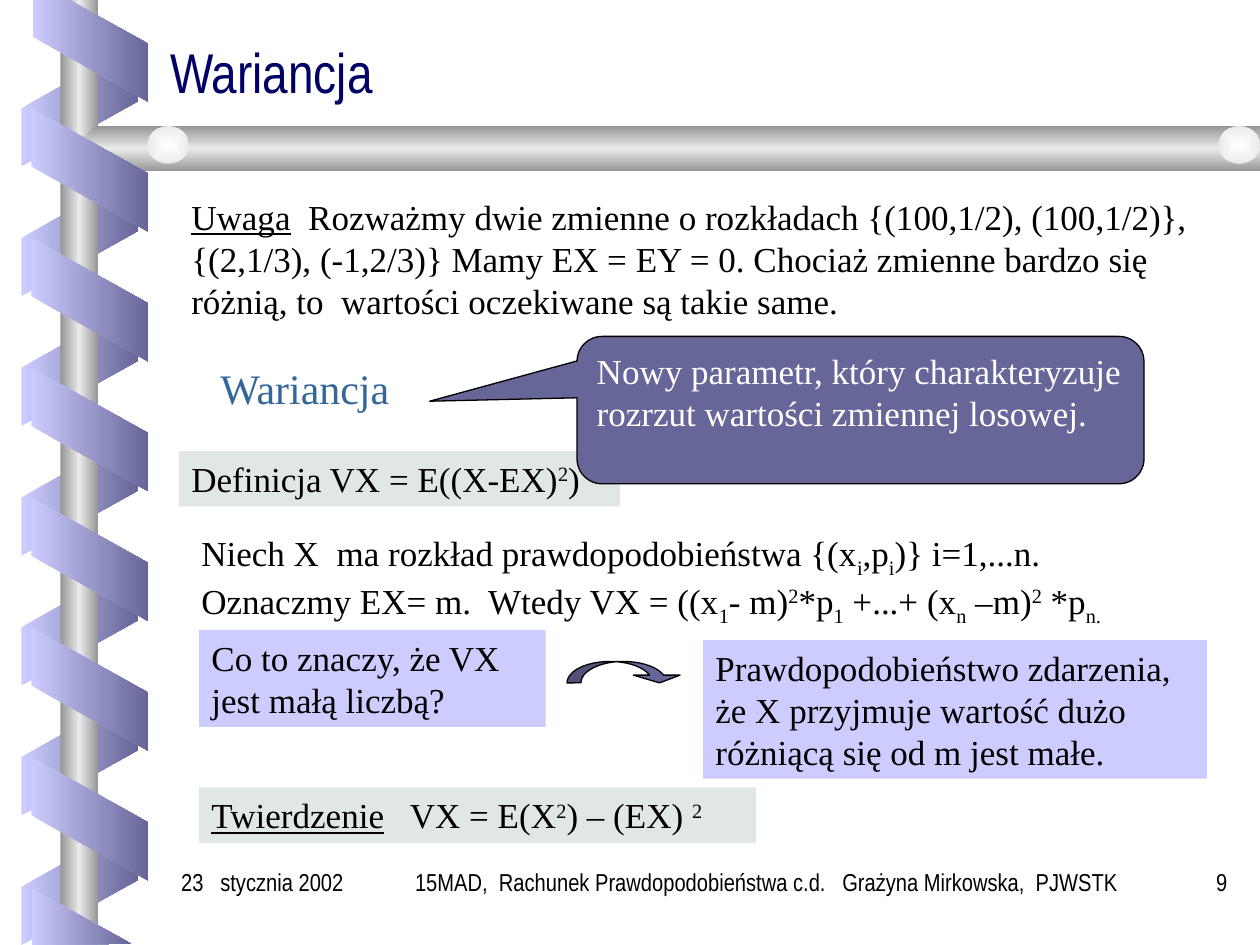
from pptx import Presentation
from pptx.dml.color import RGBColor
from pptx.enum.shapes import MSO_SHAPE as Shape
from pptx.enum.text import MSO_ANCHOR as Anchor, PP_ALIGN as Align
from pptx.oxml import parse_xml
from pptx.oxml.ns import nsdecls
from pptx.util import Inches, Pt

BLACK = RGBColor(0x00, 0x00, 0x00)
WHITE = RGBColor(0xFF, 0xFF, 0xFF)
NAVY = RGBColor(0x00, 0x00, 0x66)
BLUE = RGBColor(0x33, 0x66, 0x99)
SLATE = RGBColor(0x66, 0x66, 0x99)
LAVENDER = RGBColor(0xCC, 0xCC, 0xFF)
PALE_GREEN = RGBColor(0xE1, 0xE7, 0xE4)
GREY = RGBColor(0x96, 0x96, 0x96)
SILVER = RGBColor(0xEA, 0xEA, 0xEA)
PEARL = RGBColor(0xFE, 0xFF, 0xFF)

SERIF = "Times New Roman"
NARROW = "Arial Narrow"
ACROSS = '<a:lin ang="0" scaled="0"/>'
DOWN = '<a:lin ang="5400000" scaled="0"/>'
FROM_CENTRE = ('<a:path path="rect"><a:fillToRect l="50000" t="50000" '
               'r="50000" b="50000"/></a:path>')
SUB, SUP, UNDERLINE = "-25000", "30000", "underline"


def fill_gradient(shape, colors, direction):
    """Replace the fill with evenly spaced stops; remove line and shadow."""
    shape.shadow.inherit = False
    shape.line.fill.background()
    shape.fill.background()
    stops = "".join(
        f'<a:gs pos="{index * 100000 // (len(colors) - 1)}">'
        f'<a:srgbClr val="{color}"/></a:gs>'
        for index, color in enumerate(colors))
    gradient = parse_xml(f'<a:gradFill {nsdecls("a")}><a:gsLst>{stops}</a:gsLst>'
                         f'{direction}</a:gradFill>')
    properties = shape._element.spPr
    properties.replace(properties.find("{*}noFill"), gradient)


def add_polygon(slide, points, colors, direction):
    corners = [(Inches(x), Inches(y)) for x, y in points]
    builder = slide.shapes.build_freeform(*corners[0])
    builder.add_line_segments(corners[1:], close=True)
    fill_gradient(builder.convert_to_shape(), colors, direction)


def add_ribbon(slide, left, left_top, right_top):
    """One slanted band of the spiral."""
    width, band = 0.93, 0.46
    right = left + width
    add_polygon(slide, [(left, left_top), (right, right_top),
                        (right, right_top + band), (left, left_top + band)],
                (LAVENDER, SLATE), ACROSS)


def add_spiral(slide):
    """Back ribbons, the rods with their knobs, then front ribbons."""
    step, slant = 1.03, 0.52
    for index in range(7):
        top = 0.34 + index * step
        add_ribbon(slide, 0.17, top + slant, top)

    column = slide.shapes.add_shape(Shape.RECTANGLE, Inches(0.48), 0,
                                    Inches(0.3), Inches(7.5))
    fill_gradient(column, (GREY, SILVER, GREY), ACROSS)
    add_polygon(slide, [(10, 1), (0.76, 1), (0.6, 1.18), (0.76, 1.36), (10, 1.36)],
                (GREY, SILVER, GREY), DOWN)
    for left in (1.17, 9.67):
        knob = slide.shapes.add_shape(Shape.OVAL, Inches(left), Inches(1),
                                      Inches(0.33), Inches(0.3))
        fill_gradient(knob, (PEARL, SILVER), FROM_CENTRE)

    for index in range(6):
        top = 0.86 + index * step
        add_ribbon(slide, 0.25, top, top + slant)
    for points in ([(0.26, 0), (0.26, 0.29), (1.18, 0.81), (1.18, 0.35), (0.55, 0)],
                   [(1.04, 7.49), (0.25, 7.05), (0.25, 7.5)]):
        add_polygon(slide, points, (LAVENDER, SLATE), ACROSS)


def write(shape, lines, size=20, font=SERIF, color=BLACK, align=Align.LEFT):
    """Fill one paragraph; each line is a list of texts or (text, style) pairs."""
    frame = shape.text_frame
    frame.word_wrap = True
    frame.vertical_anchor = Anchor.TOP
    paragraph = frame.paragraphs[0]
    paragraph.alignment = align
    for index, line in enumerate(lines):
        if index:
            paragraph.add_line_break()
        for part in line:
            text, style = (part, None) if isinstance(part, str) else part
            run = paragraph.add_run()
            run.text = text
            if style == UNDERLINE:
                run.font.underline = True
            elif style:
                run._r.get_or_add_rPr().set("baseline", style)
    paragraph.font.size = Pt(size)
    paragraph.font.name = font
    paragraph.font.color.rgb = color


def add_text(slide, box, lines, **style):
    write(slide.shapes.add_textbox(*map(Inches, box)), lines, **style)


def add_filled(slide, kind, box, fill, outlined=False):
    shape = slide.shapes.add_shape(kind, *map(Inches, box))
    shape.shadow.inherit = False
    shape.fill.solid()
    shape.fill.fore_color.rgb = fill
    if outlined:
        shape.line.color.rgb = BLACK
        shape.line.width = Pt(0.75)
    else:
        shape.line.fill.background()
    return shape


def add_panel(slide, box, fill, lines):
    write(add_filled(slide, Shape.RECTANGLE, box, fill), lines)


def set_adjustments(shape, values):
    for index, value in enumerate(values):
        shape.adjustments[index] = value


def set_title(slide, box, text):
    title = slide.shapes.title
    title.left, title.top, title.width, title.height = map(Inches, box)
    write(title, [[text]], size=32, font=NARROW, color=NAVY)
    title.text_frame.vertical_anchor = Anchor.BOTTOM
    title.text_frame.paragraphs[0].line_spacing = 0.8


def add_definition(slide):
    add_panel(slide, (1.42, 3.58, 3.5, 0.44), PALE_GREEN,
              [["Definicja VX = E((X-EX)", ("2", SUP), ")"]])
    add_text(slide, (1.42, 1.5, 8.58, 1.1), [
        [("Uwaga", UNDERLINE),
         "  Rozważmy dwie zmienne o rozkładach {(100,1/2), (100,1/2)}, "
         "{(2,1/3), (-1,2/3)} Mamy EX = EY = 0. Chociaż zmienne bardzo się"],
        ["różnią, to  wartości oczekiwane są takie same."]])
    add_text(slide, (1.65, 2.83, 2, 0.57), [["Wariancja"]], size=24, color=BLUE)
    callout = add_filled(slide, Shape.ROUNDED_RECTANGULAR_CALLOUT,
                         (4.58, 2.67, 4.5, 1.17), SLATE, outlined=True)
    set_adjustments(callout, (-0.76, -0.06, 0.17))
    write(callout, [["Nowy parametr, który charakteryzuje rozrzut wartości "
                     "zmiennej losowej."]], color=WHITE)


def add_interpretation(slide):
    add_text(slide, (1.5, 4.17, 8.17, 0.86), [
        ["Niech X  ma rozkład prawdopodobieństwa {(x", ("i", SUB), ",p", ("i", SUB),
         ")} i=1,...n."],
        ["Oznaczmy EX= m.  Wtedy VX = ((x", ("1", SUB), "- m)", ("2", SUP), "*p",
         ("1", SUB), " +...+ (x", ("n", SUB), " –m)", ("2", SUP), " *p",
         ("n.", SUB)]])
    add_panel(slide, (1.58, 5, 2.75, 0.77), LAVENDER,
              [["Co to znaczy, że VX jest małą liczbą?"]])
    add_panel(slide, (1.58, 6.25, 4.42, 0.44), PALE_GREEN,
              [[("Twierdzenie", UNDERLINE), "   VX = E(X", ("2", SUP), ") – (EX) ",
                ("2", SUP)]])
    arrow = add_filled(slide, Shape.CURVED_DOWN_ARROW, (4.5, 5.25, 0.92, 0.17),
                       SLATE, outlined=True)
    set_adjustments(arrow, (0.65, 2.18, 0.36))
    add_panel(slide, (5.58, 5.08, 4, 1.1), LAVENDER,
              [["Prawdopodobieństwo zdarzenia, że X przyjmuje wartość dużo "
                "różniącą się od m jest małe."]])


def add_footer(slide, top, height):
    for left, width, text, align in (
            (1.34, 1.66, "23   stycznia 2002", Align.LEFT),
            (3, 6.17, "15MAD,  Rachunek Prawdopodobieństwa c.d.   "
                      "Grażyna Mirkowska,  PJWSTK", Align.CENTER),
            (9, 0.84, "9", Align.RIGHT)):
        add_text(slide, (left, top, width, height), [[text]], size=14,
                 font=NARROW, align=align)


def main():
    presentation = Presentation()
    presentation.slide_width, presentation.slide_height = Inches(10), Inches(7.5)
    slide = presentation.slides.add_slide(presentation.slide_layouts[5])
    add_spiral(slide)
    set_title(slide, (1.25, 0.25, 8.5, 0.63), "Wariancja")
    add_definition(slide)
    add_interpretation(slide)
    add_footer(slide, 6.83, 0.5)
    presentation.save("out.pptx")


if __name__ == "__main__":
    main()
